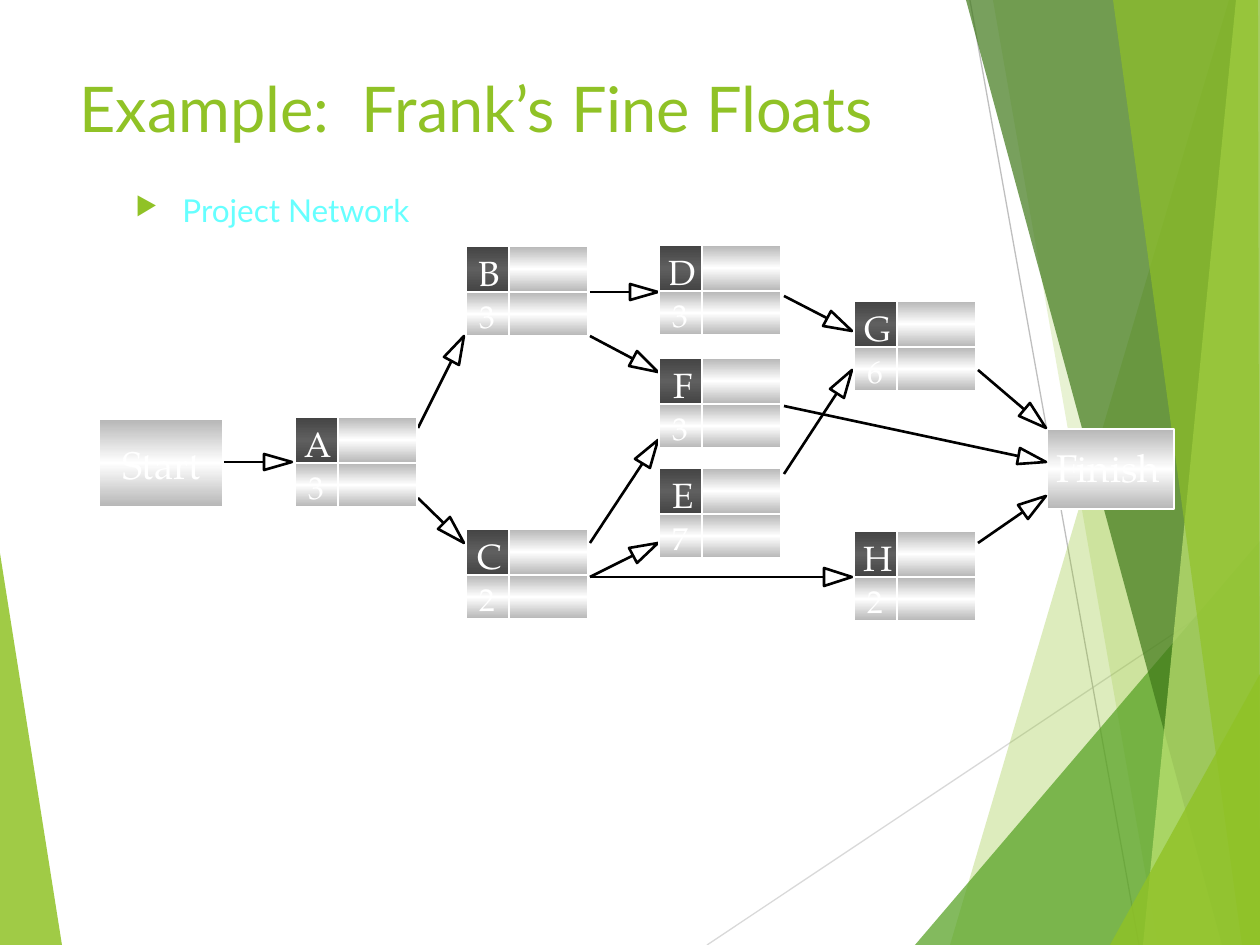
from copy import deepcopy
from math import hypot

from lxml import etree
from pptx import Presentation
from pptx import util as u
from pptx.dml.color import RGBColor
from pptx.enum import shapes, text
from pptx.oxml.ns import qn

SCALE = 914400 / 126
COLORS = {
    "lime": "90C226", "green": "54A021", "forest": "3F7819", "pale": "C0E474",
    "cyan": "66FFFF", "white": "FFFFFF", "black": "000000",
    "light_gray": "D9D9D9", "gray": "BFBFBF",
    "steel": "B6B6B6", "dark": "444444", "dark_mid": "5F5F5F",
}
SANS, SERIF = "Lato", "TeX Gyre Pagella"
STEEL = ("steel", "white", "steel")
DARK = ("dark", "dark_mid", "dark")
LABEL_W, VALUE_W, TOP_H, BOTTOM_H = 43, 79, 46, 44
HEAD_LENGTH, HEAD_HALF = 28, 8.5

LEFT_FACET = ([(0, 553), (62, 945), (0, 945)], "lime", 85)
RIGHT_FACETS = [
    ([(1229, 0), (950, 945), (1260, 945), (1260, 0)], "lime", 30),
    ([(993, 0), (1158, 945), (1260, 945), (1260, 0)], "lime", 20),
    ([(915, 945), (1260, 541), (1260, 945)], "green", 72),
    ([(966, 0), (1222, 945), (1260, 945), (1260, 0)], "forest", 70),
    ([(1236, 0), (1143, 945), (1260, 945), (1260, 0)], "pale", 70),
    ([(1113, 0), (1242, 945), (1260, 945), (1258, 0)], "lime", 65),
    ([(1110, 945), (1260, 674), (1260, 945)], "lime", 80),
]
ARROWS = [
    ((590, 577), (852, 577)), ((590, 292), (658, 292)),
    ((784, 474), (852, 370)), ((784, 296), (852, 331)),
    ((224, 462), (292, 462)), ((784, 406), (1046, 462)),
    ((978, 370), (1046, 428)), ((418, 428), (464, 336)),
    ((590, 336), (658, 372)), ((418, 498), (464, 543)),
    ((978, 543), (1046, 496)), ((590, 543), (658, 440)),
    ((590, 577), (658, 543)),
]
ACTIVITIES = [
    ("B", "3", 466, 246, 21), ("D", "3", 659, 245, 28),
    ("A", "3", 295, 417, 28), ("C", "2", 466, 529, 25),
    ("G", "6", 854, 301, 26), ("F", "3", 659, 358, 19),
    ("H", "2", 854, 531, 29), ("E", "7", 659, 468, 21),
]


def px(value):
    return u.Emu(round(value * SCALE))


def rgb(name):
    return RGBColor.from_string(COLORS[name])


def set_font(para, font, size, color):
    para.font.name = font
    para.font.size = u.Pt(size)
    para.font.color.rgb = rgb(color)


def add_polygon(page, points, color):
    builder = page.shapes.build_freeform(*points[0], scale=SCALE)
    builder.add_line_segments(points[1:], close=True)
    shape = builder.convert_to_shape()
    shape.shadow.inherit = False
    shape.fill.solid()
    shape.fill.fore_color.rgb = rgb(color)
    return shape


def add_facet(page, points, color, opacity):
    shape = add_polygon(page, points, color)
    shape.line.fill.background()
    tint = shape.fill._xPr.find(qn("a:solidFill"))[0]
    etree.SubElement(tint, qn("a:alpha"), val=str(opacity * 1000))


def add_line(page, start, end, color, width):
    line = page.shapes.add_connector(
        shapes.MSO_CONNECTOR.STRAIGHT, *map(px, (*start, *end)))
    line.line.color.rgb = rgb(color)
    line.line.width = u.Pt(width)
    etree.SubElement(line._element.spPr, qn("a:effectLst"))


def add_arrow(page, start, tip):
    length = hypot(tip[0] - start[0], tip[1] - start[1])
    dx, dy = (tip[0] - start[0]) / length, (tip[1] - start[1]) / length

    def behind_tip(back, side):
        return (tip[0] - back * dx - side * dy, tip[1] - back * dy + side * dx)

    add_line(page, start, behind_tip(HEAD_LENGTH / 2, 0), "black", 1.5)
    corners = [behind_tip(HEAD_LENGTH, side) for side in (HEAD_HALF, -HEAD_HALF)]
    head = add_polygon(page, [tip, *corners], "white")
    head.line.color.rgb = rgb("black")
    head.line.width = u.Pt(1.5)


def add_cell(page, left, top, width, height, ramp=STEEL):
    cell = page.shapes.add_shape(
        shapes.MSO_SHAPE.RECTANGLE, *map(px, (left, top, width, height)))
    cell.shadow.inherit = False
    cell.fill.gradient()
    cell.fill.gradient_angle = 270
    stops = cell.fill._xPr.find(qn("a:gradFill")).find(qn("a:gsLst"))
    stops.insert(1, deepcopy(stops[0]))
    for stop, position, color in zip(cell.fill.gradient_stops, (0, 0.5, 1), ramp):
        stop.position = position
        stop.color.rgb = rgb(color)
    cell.line.color.rgb = rgb("white")
    cell.line.width = u.Pt(1.13)


def add_label(page, words, center, top, width, height, size):
    box = page.shapes.add_textbox(*map(px, (center - width / 2, top, width, height)))
    frame = box.text_frame
    frame.margin_left = frame.margin_right = frame.margin_top = frame.margin_bottom = 0
    frame.word_wrap = False
    frame.auto_size = text.MSO_AUTO_SIZE.SHAPE_TO_FIT_TEXT
    para = frame.paragraphs[0]
    para.text = words
    para.alignment = text.PP_ALIGN.CENTER
    set_font(para, SERIF, size, "white")


def add_activity(page, name, duration, left, top, name_width):
    middle, right = top + TOP_H, left + LABEL_W
    center = left + LABEL_W / 2
    add_cell(page, right, top, VALUE_W, TOP_H)
    add_cell(page, right, middle, VALUE_W, BOTTOM_H)
    add_cell(page, left, top, LABEL_W, TOP_H, DARK)
    add_label(page, name, center + 2, top + 5, name_width, 42, 20)
    add_cell(page, left, middle, LABEL_W, BOTTOM_H)
    add_label(page, duration, center, middle + 5, 15, 38, 18)


def set_title(page, words):
    title = page.shapes.title
    title.left, title.top, title.width, title.height = map(px, (67, 63, 1133, 193))
    frame = title.text_frame
    frame.vertical_anchor = text.MSO_ANCHOR.TOP
    frame.auto_size = text.MSO_AUTO_SIZE.NONE
    para = frame.paragraphs[0]
    para.text = words
    para.alignment = text.PP_ALIGN.LEFT
    set_font(para, SANS, 36, "lime")


def add_bullet(page, words):
    box = page.shapes.add_textbox(*map(px, (123, 185, 925, 578)))
    box.text_frame.word_wrap = True
    para = box.text_frame.paragraphs[0]
    para.text = words
    para.space_before = u.Pt(10)
    set_font(para, SANS, 18, "cyan")
    props = para._p.get_or_add_pPr()
    props.set("marL", str(px(47)))
    props.set("indent", str(px(-47)))
    marks = [etree.Element(qn("a:buClr")),
             etree.Element(qn("a:buSzPct"), val="80000"),
             etree.Element(qn("a:buChar"), char="▶")]
    etree.SubElement(marks[0], qn("a:srgbClr"), val=COLORS["lime"])
    for mark in marks:
        props.find(qn("a:defRPr")).addprevious(mark)


def main():
    deck = Presentation()
    deck.slide_width, deck.slide_height = px(1260), px(945)
    page = deck.slides.add_slide(deck.slide_layouts[5])
    add_facet(page, *LEFT_FACET)
    add_line(page, (707, 945), (1260, 576), "light_gray", 0.75)
    add_line(page, (970, 0), (1139, 945), "gray", 0.75)
    for facet in RIGHT_FACETS:
        add_facet(page, *facet)
    set_title(page, "Example:  Frank’s Fine Floats")
    add_bullet(page, "Project Network")
    add_cell(page, 99, 419, 124, 88)
    add_label(page, "Start", 162, 441, 79, 47, 22)
    add_cell(page, 1047, 429, 127, 80)
    add_label(page, "Finish", 1108, 444, 105, 47, 22)
    for arrow in ARROWS:
        add_arrow(page, *arrow)
    for activity in ACTIVITIES:
        add_activity(page, *activity)
    deck.save("out.pptx")


if __name__ == "__main__":
    main()
